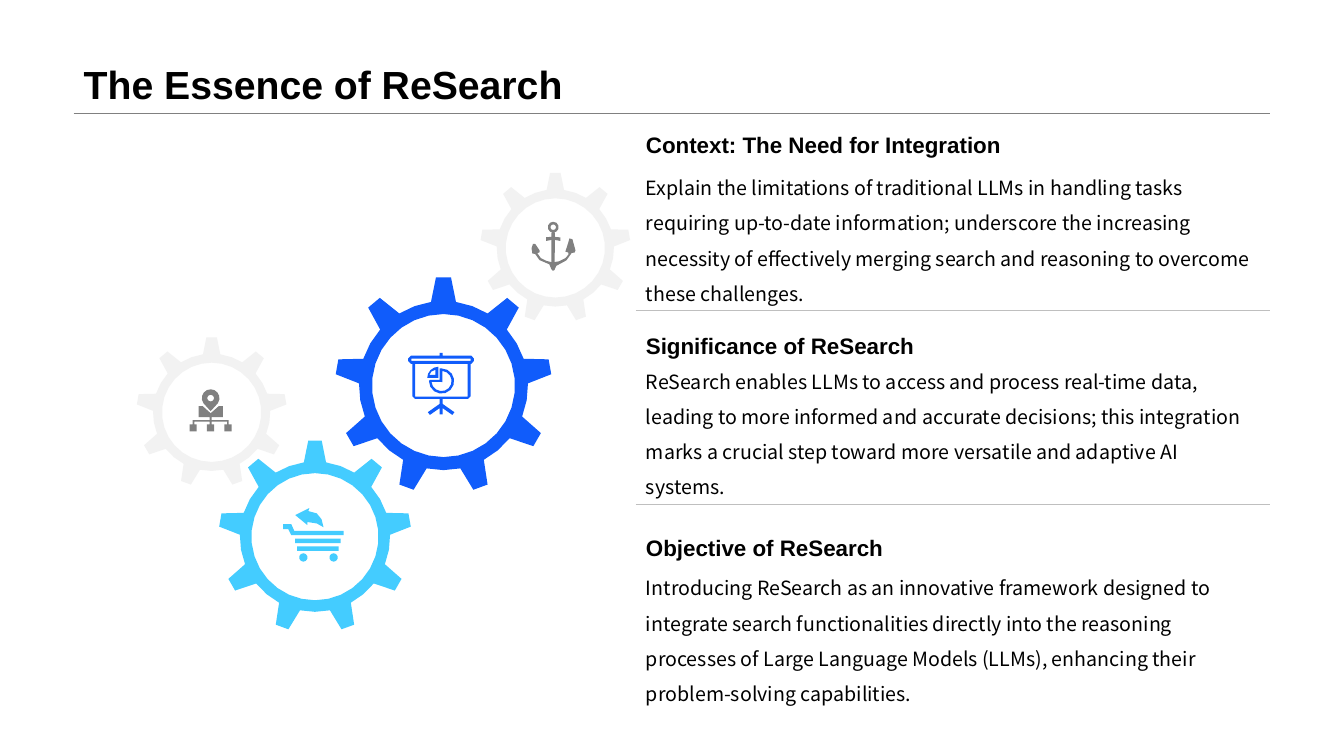
from math import cos, radians, sin

from lxml import etree
from pptx import Presentation
from pptx.dml.color import RGBColor
from pptx.enum.shapes import MSO_CONNECTOR
from pptx.enum.text import MSO_ANCHOR as ANCHOR
from pptx.enum.text import MSO_AUTO_SIZE as AUTO
from pptx.enum.text import PP_ALIGN as ALIGN
from pptx.oxml.ns import qn
from pptx.util import Pt

BLACK = RGBColor(0x00, 0x00, 0x00)
BLUE = RGBColor(0x10, 0x5C, 0xFB)
CYAN = RGBColor(0x44, 0xCC, 0xFF)
PALE = RGBColor(0xF2, 0xF2, 0xF2)
GRAY = RGBColor(0x80, 0x80, 0x80)
SILVER = RGBColor(0xBF, 0xBF, 0xBF)

HEAD_FONT = "Arial"
BODY_FONT = "Noto Sans CJK SC"
LEFT, COLUMN, RIGHT = 52.6, 454.3, 907.2
TEETH = 9

SECTIONS = [
    ("Context: The Need for Integration", 113.8,
     "Explain the limitations of traditional LLMs in handling tasks requiring "
     "up-to-date information; underscore the increasing necessity of effectively "
     "merging search and reasoning to overcome these challenges."),
    ("Significance of ReSearch", 252,
     "ReSearch enables LLMs to access and process real-time data, leading to more "
     "informed and accurate decisions; this integration marks a crucial step toward "
     "more versatile and adaptive AI systems."),
    ("Objective of ReSearch", 399.6,
     "Introducing ReSearch as an innovative framework designed to integrate search "
     "functionalities directly into the reasoning processes of Large Language Models "
     "(LLMs), enhancing their problem-solving capabilities."),
]


def arc(cx, cy, r, start=0, end=360, steps=10):
    count = steps if end - start == 360 else steps + 1
    angles = [radians(start + (end - start) * i / steps) for i in range(count)]
    return [(cx + r * sin(a), cy - r * cos(a)) for a in angles]


def rect(x1, y1, x2, y2):
    return [(x1, y1), (x2, y1), (x2, y2), (x1, y2)]


BOARD_ICON = [
    [(22.5, 0), (24.5, 0), (24.5, 2), (45, 2), (46.8, 4), (46.8, 6), (45, 8),
     (44.6, 8), (44.6, 31), (42.6, 33), (24.5, 33), (24.5, 36.5), (33, 42.5),
     (31.5, 44.4), (24.5, 39.5), (24.5, 44), (22.5, 44), (22.5, 39.5), (15.5, 44.4),
     (14, 42.5), (22.5, 36.5), (22.5, 33), (4.8, 33), (2.9, 31), (2.9, 8), (2, 8),
     (0, 6), (0, 4), (2, 2), (22.5, 2)],
    rect(2.2, 4.2, 44.6, 5.8),
    rect(5, 8, 42.5, 31.3),
    arc(23.8, 20.2, 9, 0, 270) + [(15.5, 19.4), (22.4, 19.4), (22.4, 11.2)],
    arc(23.8, 20.2, 7.2, 5, 265) + [(24.4, 20.9)],
    arc(21.6, 18, 8, 270, 360, 4) + [(21.6, 18)],
    [(19.4, 12.2), (16.6, 13.4), (15.1, 15.8), (19.4, 15.8)],
]
PIN_ICON = [
    arc(15.1, 5.8, 6.3, -125, 125) + [(15.1, 15.1)],
    arc(15.1, 5.8, 2.4),
    [(6.5, 11.5), (9.4, 11.5), (15.1, 16.6), (20.9, 11.5), (23.8, 11.5), (23.8, 19.4),
     (15.8, 19.4), (15.8, 21.6), (28, 21.6), (28, 24.5), (26.8, 24.5), (26.8, 22.6),
     (15.8, 22.6), (15.8, 24.5), (14.4, 24.5), (14.4, 22.6), (3.4, 22.6), (3.4, 24.5),
     (2.2, 24.5), (2.2, 21.6), (14.4, 21.6), (14.4, 19.4), (6.5, 19.4)],
] + [rect(x, 24.5, x + 5, 29.5) for x in (0, 12.5, 25)]
CART_ICON = [
    arc(14.4, 35.3, 3),
    arc(36, 35.3, 3),
    rect(10, 27.4, 39.6, 30.6),
    rect(8.6, 21.8, 41, 25),
    [(0, 11.5), (5.8, 11.5), (7.9, 16.3), (43.2, 16.3), (43.2, 19.4), (5.8, 19.4),
     (3.6, 15.1), (0, 15.1)],
    [(18.7, 0), (18, 2.2), (24, 3.8), (27.4, 8), (28.8, 13.7), (24, 11), (17.3, 10),
     (17.3, 12.2), (8.6, 5)],
]
ANCHOR_ICON = [
    arc(15.8, 3.9, 3.9),
    arc(15.8, 3.9, 2),
    [(14.6, 7.8), (17, 7.8), (17, 10.8), (20.9, 11.2), (20.9, 13.7), (17, 13),
     (16.8, 28.8), (20, 28.2), (24.5, 26), (26.6, 23.5), (26.6, 22), (24.5, 21.3),
     (26.2, 16), (27.4, 11.9), (29.5, 12.5), (31.7, 20.5), (31, 22), (29, 22.3),
     (25.2, 27.6), (18, 31.5), (16.6, 34.6), (15.5, 35), (14.5, 34), (13, 30.4),
     (6, 27.4), (2.9, 23), (0.9, 22.7), (0.3, 19), (1.4, 15.8), (2.9, 15.8),
     (6.1, 20.5), (6.1, 21.8), (4.4, 22.4), (7, 26), (11, 28), (14.4, 28.8),
     (14.4, 13), (10.8, 13.7), (10.8, 11), (14.4, 10.8)],
]
GEARS = [
    (316.8, 275.4, 77.4, BLUE, BOARD_ICON, 291.6, 252, BLUE),
    (151.2, 294.5, 53.7, PALE, PIN_ICON, 135.4, 278.6, GRAY),
    (225, 383.4, 68.8, CYAN, CART_ICON, 202.3, 362.9, CYAN),
    (396.7, 177.1, 53.7, PALE, ANCHOR_ICON, 379.4, 158.4, GRAY),
]


def add_outline(slide, contours, color, dx=0, dy=0):
    builder = None
    for contour in contours:
        points = [(Pt(x + dx), Pt(y + dy)) for x, y in contour]
        if builder is None:
            builder = slide.shapes.build_freeform(*points[0], scale=1.0)
        else:
            builder.move_to(*points[0])
        builder.add_line_segments(points[1:], close=True)
    sp = builder.convert_to_shape()
    sp.shadow.inherit = False
    sp.fill.solid()
    sp.fill.fore_color.rgb = color
    sp.line.fill.background()


def add_gear(slide, cx, cy, radius, color):
    rim = []
    pitch = 360 / TEETH
    for i in range(TEETH):
        middle = i * pitch
        rim += arc(cx, cy, radius, middle - 4, middle + 4, 1)
        rim += arc(cx, cy, 0.78 * radius, middle + 8.5, middle + pitch - 8.5, 2)
    add_outline(slide, [rim, arc(cx, cy, 0.66 * radius, steps=30)], color)


def add_rule(slide, x, y, color):
    line = slide.shapes.add_connector(MSO_CONNECTOR.STRAIGHT, Pt(x), Pt(y), Pt(RIGHT), Pt(y))
    line.line.color.rgb = color
    line.line.width = Pt(0.25)
    etree.SubElement(line._element.spPr, qn("a:effectLst"))


def write_text(sp, text, font=HEAD_FONT, size=16, bold=False, spacing=1.0,
               anchor=ANCHOR.TOP, fit=AUTO.SHAPE_TO_FIT_TEXT):
    tf = sp.text_frame
    tf.word_wrap = True
    tf.auto_size = fit
    tf.vertical_anchor = anchor
    p = tf.paragraphs[0]
    p.alignment = ALIGN.LEFT
    p.line_spacing = spacing
    r = p.add_run()
    r.text = text
    r.font.name = font
    r.font.size = Pt(size)
    r.font.bold = bold
    r.font.color.rgb = BLACK


def add_box(slide, y, height, text, **style):
    sp = slide.shapes.add_textbox(Pt(COLUMN), Pt(y), Pt(RIGHT - COLUMN), Pt(height))
    write_text(sp, text, **style)


def main():
    prs = Presentation()
    prs.slide_width, prs.slide_height = Pt(960), Pt(540)
    slide = prs.slides.add_slide(prs.slide_layouts[5])
    title = slide.shapes.title
    title.left, title.top = Pt(LEFT), Pt(0)
    title.width, title.height = Pt(RIGHT - LEFT), Pt(80.6)
    write_text(title, "The Essence of ReSearch", size=28, bold=True, spacing=0.9,
               anchor=ANCHOR.BOTTOM, fit=AUTO.NONE)
    add_rule(slide, LEFT, 80.6, GRAY)
    for cx, cy, radius, color, icon, x, y, icon_color in GEARS:
        add_gear(slide, cx, cy, radius, color)
        add_outline(slide, icon, icon_color, x, y)
    for i, (heading, body_top, body) in enumerate(SECTIONS):
        add_box(slide, body_top, 92.9, body, font=BODY_FONT, size=14, spacing=1.5)
        add_box(slide, 90 + 144 * i, 26.6, heading, bold=True)
    for y in (221.8, 360):
        add_rule(slide, COLUMN, y, SILVER)
    prs.save("out.pptx")


if __name__ == "__main__":
    main()
